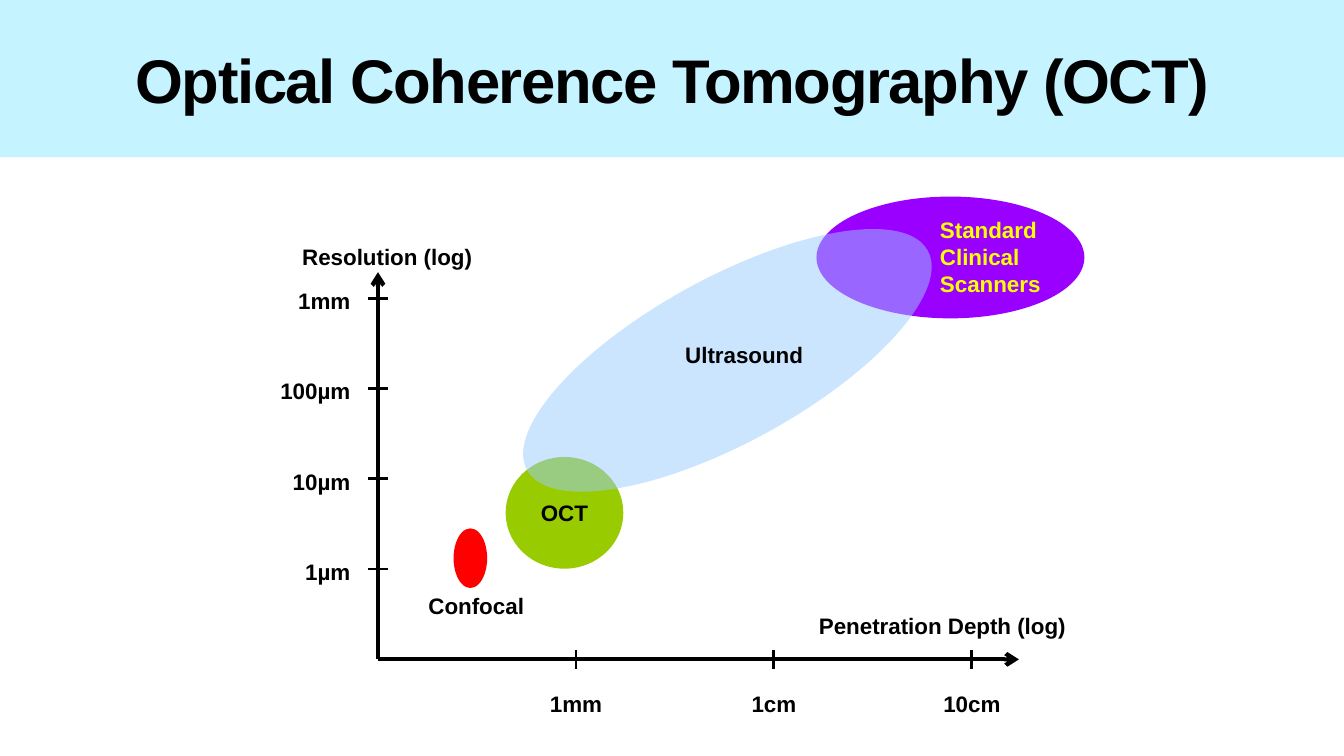
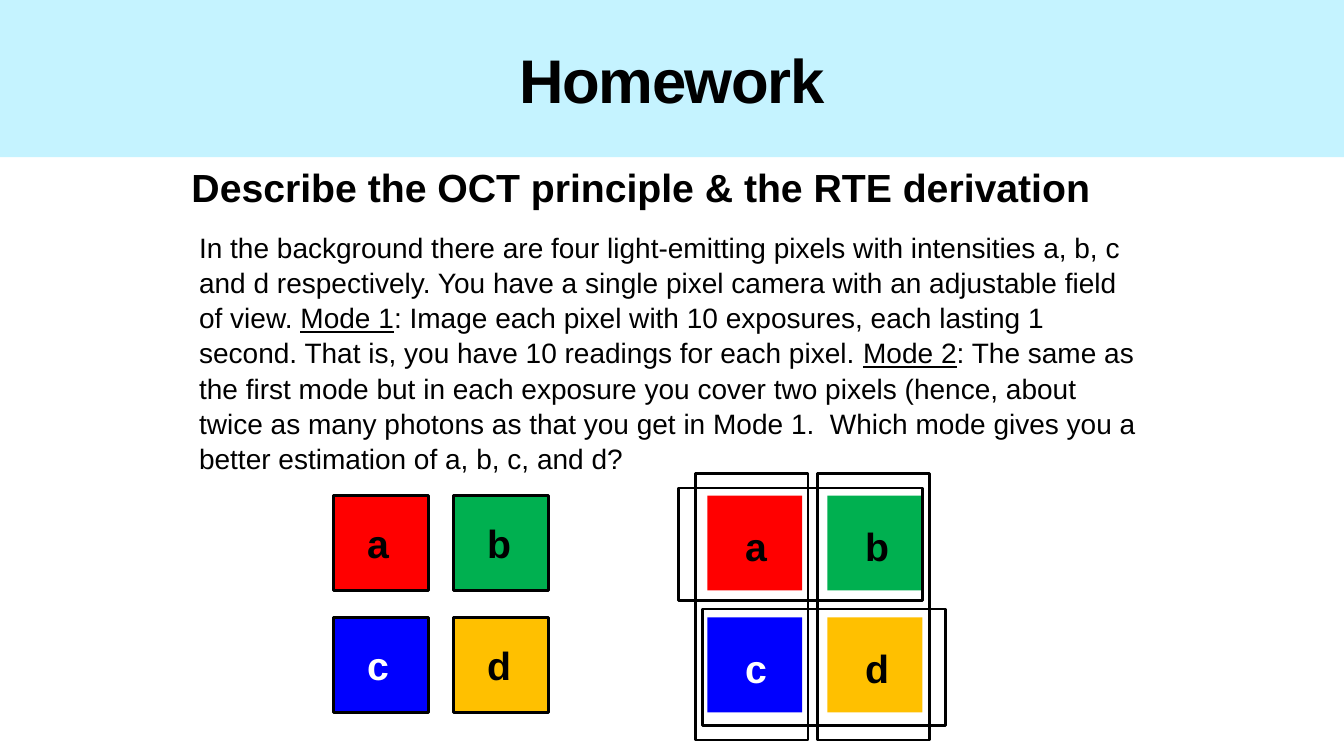
from lxml.etree import SubElement
from pptx import Presentation
from pptx.dml.color import RGBColor
from pptx.enum.shapes import MSO_CONNECTOR, MSO_SHAPE
from pptx.enum.text import MSO_ANCHOR, PP_ALIGN
from pptx.oxml.ns import qn
from pptx.util import Emu, Inches, Pt

COLS, ROWS = 160, 90
FONT = "Arial"
BLACK = RGBColor(0x00, 0x00, 0x00)
WHITE = RGBColor(0xFF, 0xFF, 0xFF)
BAND = RGBColor(0xC5, 0xF3, 0xFF)
PURPLE = RGBColor(0x99, 0x00, 0xFF)
YELLOW = RGBColor(0xFF, 0xFF, 0x00)
RED = RGBColor(0xFF, 0x00, 0x00)
LIME = RGBColor(0x99, 0xCC, 0x00)
SKY = RGBColor(0x99, 0xCC, 0xFF)
GREEN = RGBColor(0x00, 0xB0, 0x50)
BLUE = RGBColor(0x00, 0x00, 0xFF)
AMBER = RGBColor(0xFF, 0xC0, 0x00)

LEFT, CENTER, RIGHT = PP_ALIGN.LEFT, PP_ALIGN.CENTER, PP_ALIGN.RIGHT


def write(tf, text, size=16, color=BLACK, bold=True, align=LEFT,
          anchor=MSO_ANCHOR.MIDDLE, spacing=None, tracking=None, inset=(0, 0)):
    """Fill a frame; each line is a paragraph, and parts between underscores are underlined."""
    tf.word_wrap = True
    tf.vertical_anchor = anchor
    tf.margin_left, tf.margin_top = inset
    tf.margin_right = tf.margin_bottom = 0
    for i, line in enumerate(text.split("\n")):
        p = tf.add_paragraph() if i else tf.paragraphs[0]
        p.alignment = align
        if spacing:
            p.line_spacing = spacing
        for j, part in enumerate(line.split("_")):
            r = p.add_run()
            r.text = part
            r.font.name, r.font.size, r.font.bold = FONT, Pt(size), bold
            r.font.color.rgb = color
            if j % 2:
                r.font.underline = True
            if tracking:
                r.font._element.set("spc", str(tracking * 100))


class Deck:
    """Shared style and current slide; lengths are columns and rows."""

    def __init__(self):
        self.prs = Presentation()
        self.prs.slide_width, self.prs.slide_height = Inches(13.33), Inches(7.5)

    def grid(self, x, y):
        return (Emu(round(x * self.prs.slide_width / COLS)),
                Emu(round(y * self.prs.slide_height / ROWS)))

    def slide(self, title):
        self.s = self.prs.slides.add_slide(self.prs.slide_layouts[5])
        band = self.s.shapes.title
        band.left, band.top = 0, 0
        band.width, band.height = self.grid(COLS, 18.7)
        band.fill.solid()
        band.fill.fore_color.rgb = BAND
        write(band.text_frame, title, size=44, align=CENTER, tracking=-1)

    def text(self, text, x, y, w, h, **fmt):
        sp = self.s.shapes.add_textbox(*self.grid(x, y), *self.grid(w, h))
        write(sp.text_frame, text, **fmt)

    def label(self, text, x, y, align=CENTER, w=32, h=4, **fmt):
        """Place text around row y, with column x at its aligned edge or centre."""
        left = {LEFT: x, CENTER: x - w / 2, RIGHT: x - w}[align]
        self.text(text, left, y - h / 2, w, h, align=align, **fmt)

    def shape(self, kind, x, y, w, h, fill=None, outline=False, alpha=None,
              turn=0, text=None, **fmt):
        sp = self.s.shapes.add_shape(kind, *self.grid(x, y), *self.grid(w, h))
        sp.shadow.inherit = False
        sp.rotation = turn
        if fill is None:
            sp.fill.background()
        else:
            sp.fill.solid()
            sp.fill.fore_color.rgb = fill
        if alpha:
            clr = sp._element.spPr.find(qn("a:solidFill"))[0]
            SubElement(clr, qn("a:alpha")).set("val", str(alpha * 1000))
        if outline:
            sp.line.color.rgb, sp.line.width = BLACK, Pt(2)
        else:
            sp.line.fill.background()
        if text:
            write(sp.text_frame, text, **fmt)

    def ellipse(self, *box, **style):
        self.shape(MSO_SHAPE.OVAL, *box, **style)

    def box(self, *box, **style):
        self.shape(MSO_SHAPE.RECTANGLE, *box, **style)

    def line(self, x1, y1, x2, y2, width=2, arrow=False):
        c = self.s.shapes.add_connector(
            MSO_CONNECTOR.STRAIGHT, *self.grid(x1, y1), *self.grid(x2, y2))
        c.line.color.rgb, c.line.width = BLACK, Pt(width)
        if arrow:
            SubElement(c.line._get_or_add_ln(), qn("a:tailEnd")).set("type", "arrow")
        SubElement(c._element.spPr, qn("a:effectLst"))


def modality_slide(deck):
    deck.slide("Optical Coherence Tomography (OCT)")
    deck.ellipse(97.2, 23.4, 31.9, 14.5, fill=PURPLE)
    deck.ellipse(54, 62.9, 4, 7.1, fill=RED)
    deck.label("Confocal", 56.7, 72.1)

    x0, y0, tick = 45, 78.5, 1.15
    depths, resolutions = ["1mm", "1cm", "10cm"], ["1µm", "10µm", "100µm", "1mm"]
    depth_step = (115.7 - x0) / len(depths)
    resolution_step = (y0 - 35.5) / len(resolutions)
    deck.line(x0, y0, 121.3, y0, width=3, arrow=True)
    deck.line(x0, y0, x0, 32.4, width=3, arrow=True)
    for i, depth in enumerate(depths, 1):
        x = x0 + i * depth_step
        deck.line(x, y0 - tick, x, y0 + tick)
        deck.label(depth, x, 83.7)
    for i, resolution in enumerate(resolutions, 1):
        y = y0 - i * resolution_step
        deck.line(x0 - tick, y, x0 + tick, y)
        deck.label(resolution, 41.7, y + 0.3, align=RIGHT)
    deck.label("Penetration Depth (log)", 112.2, 74.5)
    deck.label("Resolution (log)", 46.1, 30.5)

    deck.ellipse(60.2, 54.4, 14, 13.3, fill=LIME, text="OCT", align=CENTER)
    deck.ellipse(59.4, 33.1, 54.4, 19.6, fill=SKY, alpha=50, turn=331.3)
    deck.label("Ultrasound", 88.6, 42.2)
    deck.label("Standard\nClinical\nScanners", 111.9, 30.5, align=LEFT,
               w=14, h=11, color=YELLOW)


def pixel_block(deck, left, outline, inset):
    """Draw the two-by-two block of light-emitting pixels."""
    pixels = [("a", RED), ("b", GREEN), ("c", BLUE), ("d", AMBER)]
    for i, (name, fill) in enumerate(pixels):
        row, col = divmod(i, 2)
        deck.box(left + col * 14.3, 59 + row * 14.5, 11.3, 11.3, fill=fill,
                 outline=outline, text=name, size=28, inset=deck.grid(*inset),
                 color=WHITE if fill == BLUE else BLACK)


def homework_slide(deck):
    deck.slide("Homework")
    deck.text("Describe the OCT principle & the RTE derivation",
              22.8, 18.7, 114, 7.2, size=28)
    deck.text(
        "In the background there are four light-emitting pixels with intensities "
        "a, b, c and d respectively. You have a single pixel camera with an "
        "adjustable field of view. _Mode 1_: Image each pixel with 10 exposures, "
        "each lasting 1 second. That is, you have 10 readings for each pixel. "
        "_Mode 2_: The same as the first mode but in each exposure you cover two "
        "pixels (hence, about twice as many photons as that you get in Mode 1.  "
        "Which mode gives you a better estimation of a, b, c, and d?",
        23.7, 27.2, 112.7, 29, size=20, bold=False, anchor=MSO_ANCHOR.TOP, spacing=1.05)
    pixel_block(deck, 39.7, outline=True, inset=(4, 0))
    pixel_block(deck, 84.2, outline=False, inset=(4.5, 0.6))
    two_pixel_views = [(82.8, 56.4, 13.4, 31.7), (97.3, 56.4, 13.4, 31.7),
                       (80.8, 58.1, 29, 13.4), (83.6, 72.5, 29, 13.9)]
    for view in two_pixel_views:
        deck.box(*view, outline=True)


def main():
    deck = Deck()
    modality_slide(deck)
    homework_slide(deck)
    deck.prs.save("out.pptx")


if __name__ == "__main__":
    main()
